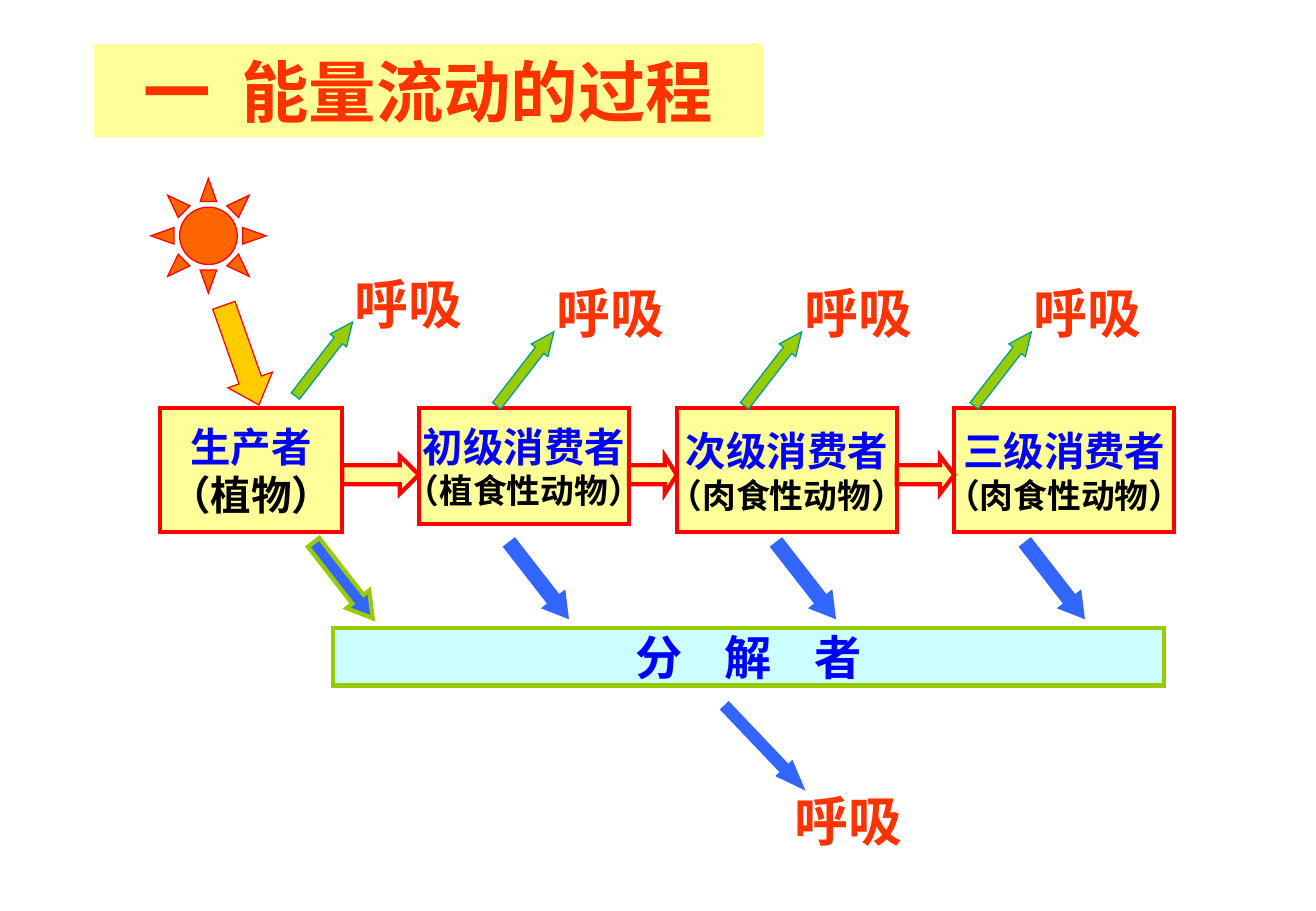
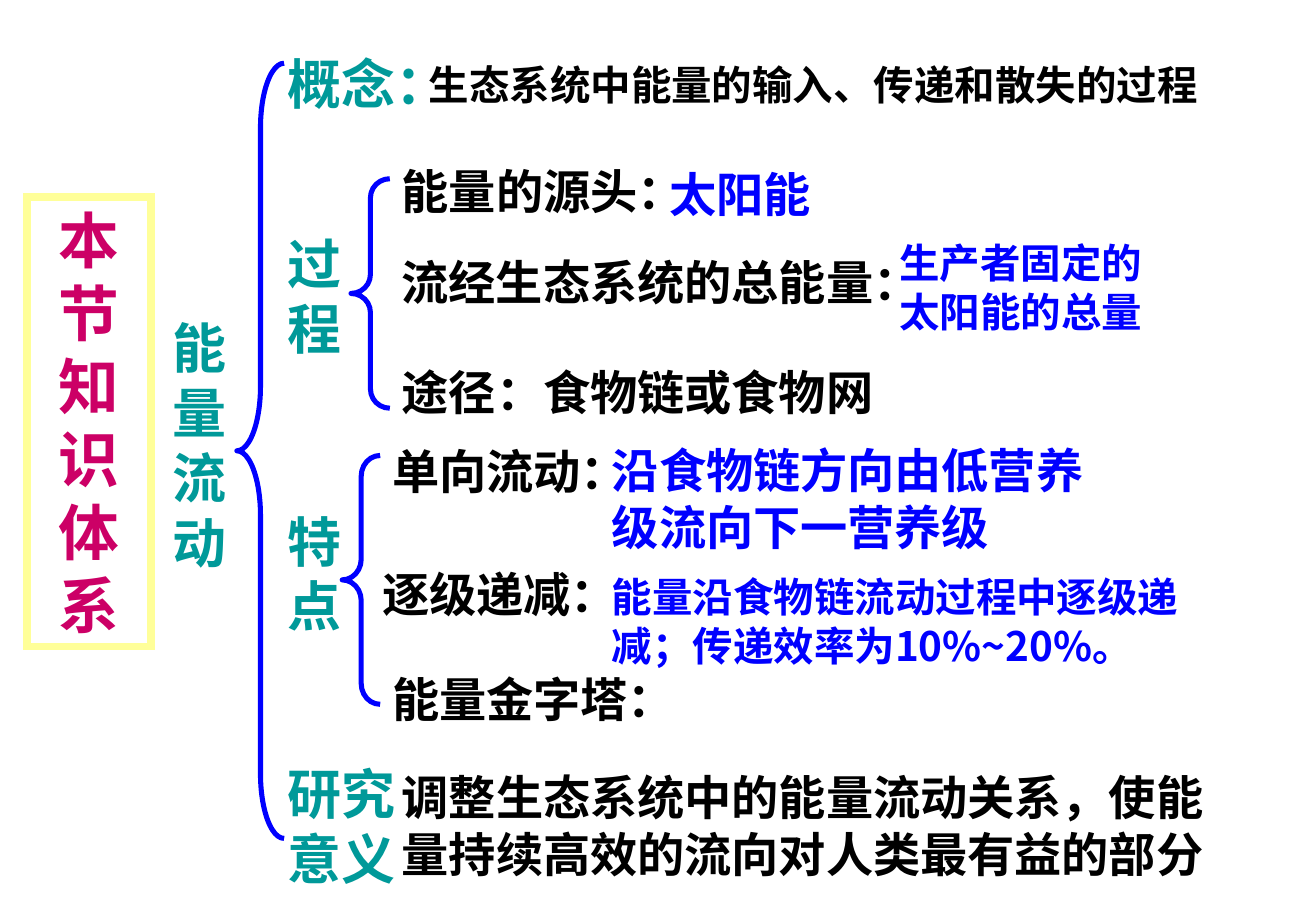
from dataclasses import dataclass

from lxml import etree
from pptx import Presentation
from pptx.dml.color import RGBColor
from pptx.enum.shapes import MSO_SHAPE as Kind
from pptx.enum.text import MSO_ANCHOR as Anchor, MSO_AUTO_SIZE as Fit, PP_ALIGN as Align
from pptx.oxml.ns import qn
from pptx.util import Pt


@dataclass(frozen=True)
class Theme:
    latin: str = "Arial"
    sans: str = "Noto Sans CJK SC"
    heading: str = "Noto Sans CJK JP"
    black: str = "000000"
    blue: str = "0000FF"
    red: str = "FF0000"
    vermilion: str = "FF3300"
    magenta: str = "CC0066"
    teal: str = "009999"
    cream: str = "FFFF99"
    aqua: str = "CCFFFF"
    green: str = "99CC00"
    sky: str = "3366FF"
    orange: str = "FF6600"
    gold: str = "FFCC00"
    title: float = 40
    banner: float = 36
    topic: float = 32
    large: float = 28
    medium: float = 24
    small: float = 20
    thin: float = 0.75
    thick: float = 2.5
    brace: float = 3
    frame: float = 4.5


T = Theme()

FLOW_TITLE = ("一 ", "能量流动的过程")
FLOW_TITLE_AREA = (55.5, 26, 397, 55.5)
CHAIN_TOP = 242
CHAIN = [
    ("生产者", "（植物）", T.medium, 95, 108, 73.5),
    ("初级消费者", "（植食性动物）", T.small, 248.5, 124.5, 68.5),
    ("次级消费者", "（肉食性动物）", T.small, 401.4, 130.5, 73.5),
    ("三级消费者", "（肉食性动物）", T.small, 566, 130.5, 73.5),
]
LINK_TOP, LINK_HEIGHT = 270.2, 22.5
SUN_AREA = (89.4, 105.8, 68.4, 68)
SUNLIGHT_AREA = (129.2, 179.2, 28, 62.6)
BREATH = "呼吸"
BREATH_ARROWS = [(164.4, 206.6), (283.8, 212.4), (430.8, 212.4), (567, 212.4)]
BREATH_SIZE, BREATH_TURN = (55.5, 12.4), 307.7
BREATH_LABEL = (21.7, -50, 113, 46)
LAST_BREATH_ARROW = (419.2, 436.6, 68.4, 13)
LAST_BREATH_AREA = (452.2, 463, 102.2, 46)
DECOMPOSER = ("分 解 ", "者")
DECOMPOSER_AREA = (197.4, 372.4, 493.2, 34)
DECAY_LEFTS = [175, 291, 449.4, 597]
DECAY_TOP, DECAY_SIZE, DECAY_TURN = 335.5, (57, 17), 52.1

SUMMARY_TITLE = "本节知识体系"
SUMMARY_TITLE_AREA = (16, 116.8, 73.5, 266.5)
BRACES = [(140.5, 37.5, 28, 459.5), (208.2, 106, 23, 136), (203, 270, 22.5, 147.5)]
TOPIC_LEFT, DETAIL_LEFT, TRAIT_LEFT, NOTE_LEFT = 163.5, 231.2, 225.5, 355.8
SUMMARY = [
    (T.topic, T.teal, [
        ("能量流动", 95, 183, 51, 161),
        ("概念：", TOPIC_LEFT, 26.2, 119, 46),
        ("过程", TOPIC_LEFT, 133.2, 39.5, 84),
        ("特点", TOPIC_LEFT, 297.6, 39.5, 84),
        ("研究意义", TOPIC_LEFT, 447.2, 85, 84),
    ]),
    (T.medium, T.black, [
        ("生态系统中能量的输入、传递和散失的过程", 247.2, 31.8, 481.5, 36),
    ]),
    (T.large, T.black, [
        ("能量的源头：", DETAIL_LEFT, 92.4, 278, 41),
        ("流经生态系统的总能量：", DETAIL_LEFT, 146.4, 357, 41),
        ("途径：食物链或食物网", DETAIL_LEFT, 211.8, 300, 41),
        ("单向流动：", TRAIT_LEFT, 258.6, 170, 41),
        ("逐级递减：", 219.6, 331.4, 175.5, 41),
        ("能量金字塔：", TRAIT_LEFT, 394, 187, 41),
        ("调整生态系统中的能量流动关系，使能量持续高效的流向对人类最有益的部分",
         DETAIL_LEFT, 451.8, 516, 75),
    ]),
    (T.large, T.blue, [
        ("太阳能", 389.7, 94.5, 170, 41),
        ("沿食物链方向由低营养级流向下一营养级", NOTE_LEFT, 258.2, 312, 75),
    ]),
    (T.medium, T.blue, [
        ("生产者固定的太阳能的总量", 526.3, 137.5, 170, 65),
        ("能量沿食物链流动过程中逐级递减；传递效率为10%~20%。", NOTE_LEFT, 335.8, 357, 65),
    ]),
]


def rgb(code):
    return RGBColor.from_string(code)


def paint(shape, fill=None, line=None, width=T.thin, sharp=True):
    if fill:
        shape.fill.solid()
        shape.fill.fore_color.rgb = rgb(fill)
    else:
        shape.fill.background()
    if line:
        shape.line.color.rgb = rgb(line)
        shape.line.width = Pt(width)
        if sharp:
            stroke = shape._element.spPr.find(qn("a:ln"))
            etree.SubElement(stroke, qn("a:miter")).set("lim", "800000")
    else:
        shape.line.fill.background()


def draw(page, kind, area, fill=None, line=None, width=T.thin, turn=0, adjust=None):
    shape = page.shapes.add_shape(kind, *map(Pt, area))
    shape.shadow.inherit = False
    paint(shape, fill, line, width, kind != Kind.LEFT_BRACE)
    shape.rotation = turn
    if adjust is not None:
        shape.adjustments[len(shape.adjustments) - 1] = adjust
    return shape


def draw_arrow(page, area, fill, line, width=T.thin, turn=0, kind=Kind.RIGHT_ARROW):
    length, thickness = max(area[2:]), min(area[2:])
    draw(page, kind, area, fill, line, width, turn, length / thickness / 4)


def draw_brace(page, area):
    brace = draw(page, Kind.LEFT_BRACE, area, None, T.blue, T.brace)
    brace.adjustments[0] = area[3] / 12 / area[2]
    brace.adjustments[1] = 0.5


def add_span(para, words, size, color, latin=T.sans, asian=T.sans, spacing=0):
    span = para.add_run()
    span.text = words
    span.font.size = Pt(size)
    span.font.bold = True
    span.font.color.rgb = rgb(color)
    span.font.name = latin
    props = span.font._element
    face = etree.Element(qn("a:ea"))
    face.set("typeface", asian)
    props.find(qn("a:latin")).addnext(face)
    if spacing:
        props.set("spc", str(round(spacing * 100)))


def set_frame(shape, anchor=Anchor.TOP, wrap=True):
    frame = shape.text_frame
    frame.auto_size = Fit.NONE
    frame.word_wrap = wrap
    frame.vertical_anchor = anchor
    frame.margin_left = frame.margin_right = Pt(7.2)
    frame.margin_top = frame.margin_bottom = Pt(3.6)
    return frame


def first_para(frame, align):
    para = frame.paragraphs[0]
    para.alignment = align
    para.space_before = Pt(0)
    return para


def add_label(page, words, area, size, color, align=Align.LEFT, latin=T.sans):
    frame = set_frame(page.shapes.add_textbox(*map(Pt, area)))
    add_span(first_para(frame, align), words, size, color, latin)


def add_page(deck, area, fill=None, line=None):
    page = deck.slides.add_slide(deck.slide_layouts[5])
    title = page.shapes.title
    title.left, title.top, title.width, title.height = map(Pt, area)
    paint(title, fill, line, T.frame)
    return page, first_para(set_frame(title), Align.CENTER)


def add_spaced(para, words, size, color, spacing):
    lead, rest = words
    add_span(para, lead, size, color, T.heading, T.heading, spacing)
    add_span(para, rest, size, color, T.heading, T.heading)


def add_breath(page, area):
    add_label(page, BREATH, area, T.topic, T.vermilion, Align.CENTER, T.latin)


def build_flow(deck):
    page, heading = add_page(deck, FLOW_TITLE_AREA, T.cream)
    add_spaced(heading, FLOW_TITLE, T.title, T.vermilion, 4.6)

    draw(page, Kind.SUN, SUN_AREA, T.orange, T.red, adjust=0.25)
    draw_arrow(page, SUNLIGHT_AREA, T.gold, T.red, turn=340.6, kind=Kind.DOWN_ARROW)

    for role, diet, diet_size, left, width, height in CHAIN:
        box = draw(page, Kind.RECTANGLE, (left, CHAIN_TOP, width, height),
                   T.cream, T.red, T.thick)
        frame = set_frame(box, Anchor.MIDDLE, False)
        add_span(first_para(frame, Align.CENTER), role, T.medium, T.blue, T.latin)
        para = frame.add_paragraph()
        para.alignment = Align.CENTER
        add_span(para, diet, diet_size, T.black, T.latin)
    for eaten, eater in zip(CHAIN, CHAIN[1:]):
        start = eaten[3] + eaten[4]
        draw_arrow(page, (start, LINK_TOP, eater[3] - start, LINK_HEIGHT),
                   T.cream, T.red, T.thick)

    box = draw(page, Kind.RECTANGLE, DECOMPOSER_AREA, T.aqua, T.green, T.thick)
    para = first_para(set_frame(box, Anchor.MIDDLE, False), Align.CENTER)
    add_spaced(para, DECOMPOSER, T.large, T.blue, 9.4)

    for index, left in enumerate(DECAY_LEFTS):
        line, width = (T.sky, T.thin) if index else (T.green, T.thick)
        draw_arrow(page, (left, DECAY_TOP, *DECAY_SIZE), T.sky, line, width, DECAY_TURN)

    dx, dy, *label_size = BREATH_LABEL
    for left, top in BREATH_ARROWS:
        draw_arrow(page, (left, top, *BREATH_SIZE), T.green, T.teal, turn=BREATH_TURN)
        add_breath(page, (left + dx, top + dy, *label_size))
    draw_arrow(page, LAST_BREATH_ARROW, T.sky, T.sky, turn=46.4)
    add_breath(page, LAST_BREATH_AREA)


def build_summary(deck):
    page, heading = add_page(deck, SUMMARY_TITLE_AREA, line=T.cream)
    add_span(heading, SUMMARY_TITLE, T.banner, T.magenta, T.latin)
    for area in BRACES:
        draw_brace(page, area)
    for size, color, labels in SUMMARY:
        for words, *area in labels:
            add_label(page, words, area, size, color)


def main():
    deck = Presentation()
    deck.slide_width = Pt(780.48)
    deck.slide_height = Pt(540)
    build_flow(deck)
    build_summary(deck)
    deck.save("out.pptx")


if __name__ == "__main__":
    main()
